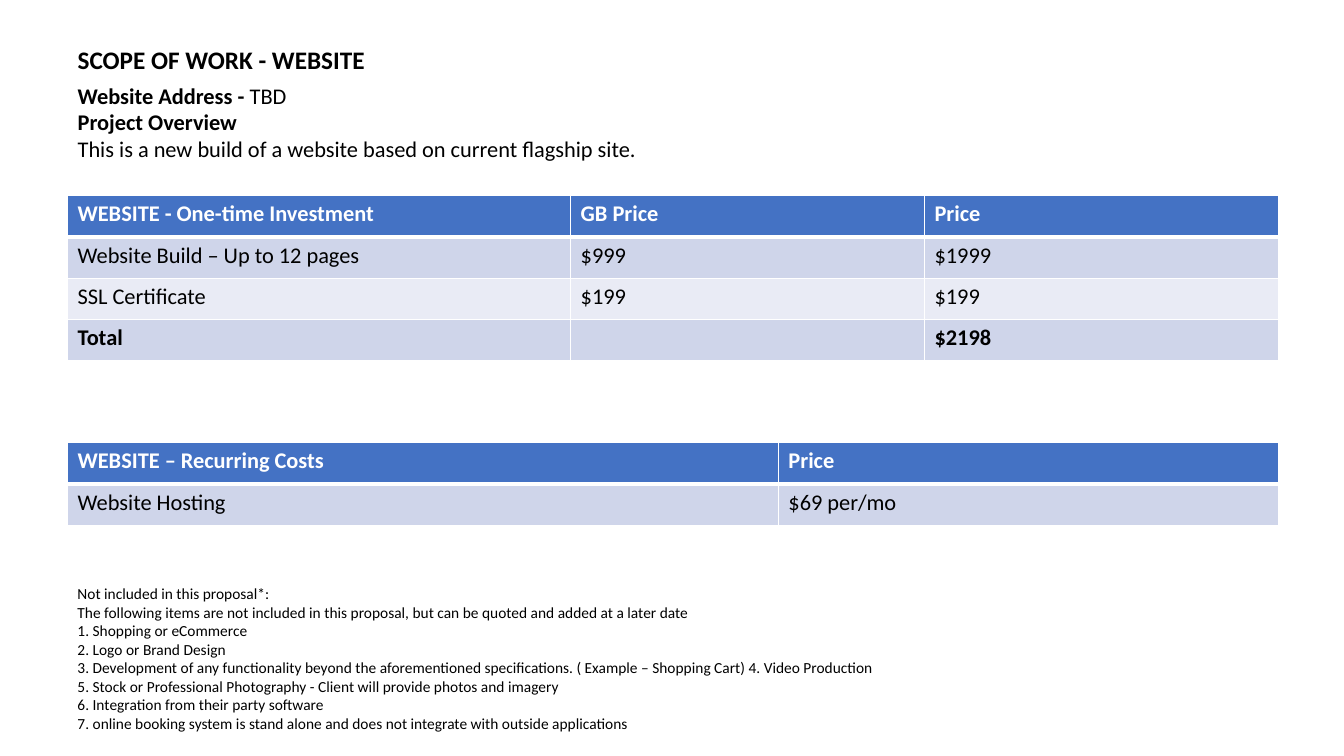
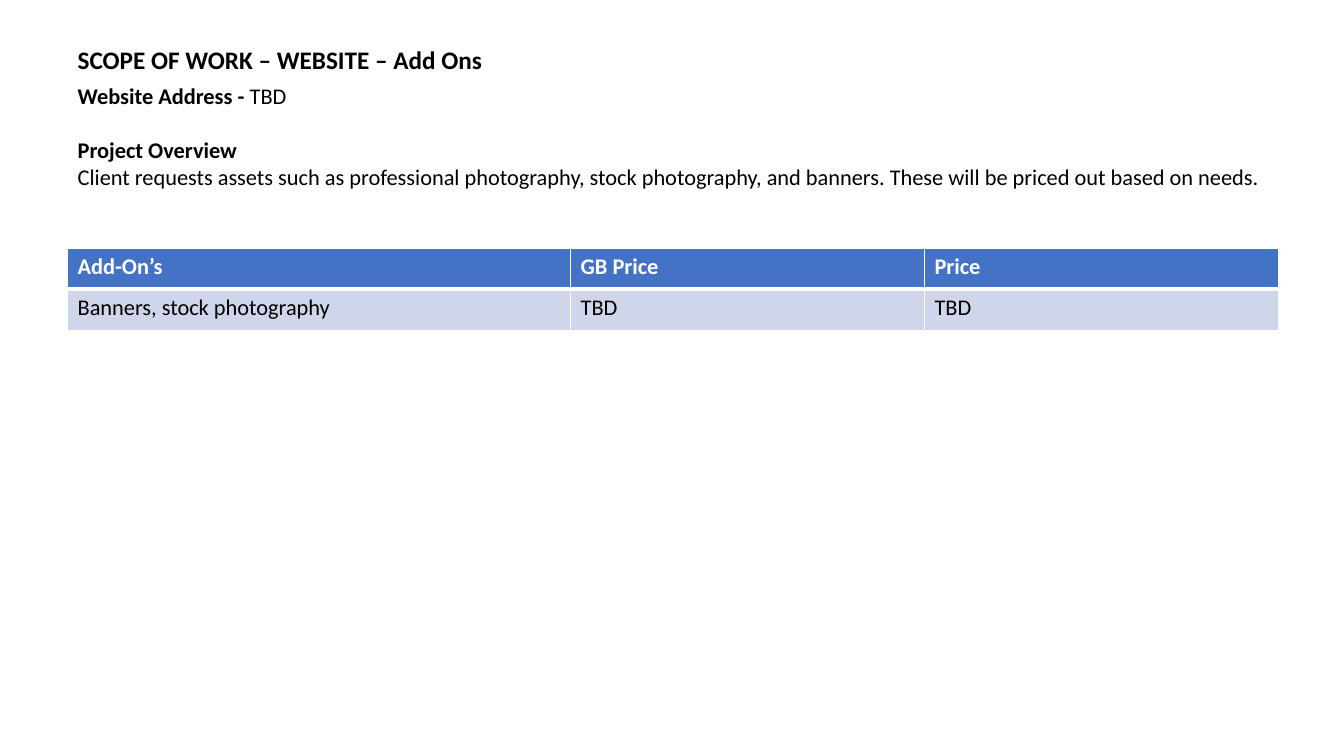
from dataclasses import dataclass
from lxml.etree import SubElement
from pptx import Presentation
from pptx.dml.color import RGBColor
from pptx.enum.text import MSO_ANCHOR, MSO_AUTO_SIZE, PP_ALIGN
from pptx.oxml.ns import qn
from pptx.util import Inches, Pt


@dataclass(frozen=True)
class Theme:
    font: str = "Calibri"
    text: RGBColor = RGBColor.from_string("000000")
    white: RGBColor = RGBColor.from_string("FFFFFF")
    header: RGBColor = RGBColor.from_string("4472C4")
    bands: tuple = (RGBColor.from_string("CFD5EA"), RGBColor.from_string("E9EBF5"))
    title_size: Pt = Pt(18)
    body_size: Pt = Pt(16)
    small_size: Pt = Pt(11)
    rule: Pt = Pt(1)
    header_rule: Pt = Pt(3)


theme = Theme()
left = Inches(0.67)
content_width = Inches(12.1)
row_height = Inches(0.41)
price_columns = (4.99, 3.51, 3.51)


def style(paragraph, size, bold=False, color=theme.text):
    paragraph.alignment = PP_ALIGN.LEFT
    paragraph.space_before = Pt(0)
    font = paragraph.font
    font.name = theme.font
    font.size = size
    font.bold = bold
    font.color.rgb = color


def add_price_table(slide, top, column_widths, rows):
    table = slide.shapes.add_table(
        len(rows), len(column_widths), left, Inches(top),
        Inches(sum(column_widths)), row_height * len(rows),
    ).table
    for column, width in zip(table.columns, column_widths):
        column.width = Inches(width)
    for row_index, values in enumerate(rows):
        table.rows[row_index].height = row_height
        is_header = row_index == 0
        edges = {
            "a:lnL": theme.rule,
            "a:lnR": theme.rule,
            "a:lnT": theme.header_rule if row_index == 1 else theme.rule,
            "a:lnB": theme.header_rule if is_header else theme.rule,
        }
        for column_index, value in enumerate(values):
            cell = table.cell(row_index, column_index)
            properties = cell._tc.get_or_add_tcPr()
            for edge, width in edges.items():
                line = SubElement(properties, qn(edge), w=str(width))
                fill = SubElement(line, qn("a:solidFill"))
                SubElement(fill, qn("a:srgbClr"), val=str(theme.white))
            cell.fill.solid()
            cell.fill.fore_color.rgb = theme.header if is_header else theme.bands[(row_index - 1) % 2]
            cell.text = value
            style(
                cell.text_frame.paragraphs[0], theme.body_size,
                bold=is_header or values[0] == "Total",
                color=theme.white if is_header else theme.text,
            )


scopes = [
    {
        "title": "SCOPE OF WORK - WEBSITE",
        "overview": "This is a new build of a website based on current flagship site.",
        "overview_gap": Pt(0),
        "overview_height": 1.18,
        "tables": [
            (1.94, price_columns, [
                ("WEBSITE - One-time Investment", "GB Price", "Price"),
                ("Website Build – Up to 12 pages", "$999", "$1999"),
                ("SSL Certificate", "$199", "$199"),
                ("Total", "", "$2198"),
            ]),
            (4.39, (7.05, 4.96), [
                ("WEBSITE – Recurring Costs", "Price"),
                ("Website Hosting", "$69 per/mo"),
            ]),
        ],
        "exclusions": [
            "Not included in this proposal*:",
            "The following items are not included in this proposal, but can be quoted and added at a later date",
            "1. Shopping or eCommerce",
            "2. Logo or Brand Design",
            "3. Development of any functionality beyond the aforementioned specifications. "
            "( Example – Shopping Cart) 4. Video Production",
            "5. Stock or Professional Photography - Client will provide photos and imagery",
            "6. Integration from their party software",
            "7. online booking system is stand alone and does not integrate with outside applications",
        ],
    },
    {
        "title": "SCOPE OF WORK – WEBSITE – Add Ons",
        "overview": "Client requests assets such as professional photography, stock photography, and banners. "
                    "These will be priced out based on needs.",
        "overview_gap": Pt(19.5),
        "overview_height": 1.45,
        "tables": [
            (2.46, price_columns, [
                ("Add-On’s", "GB Price", "Price"),
                ("Banners, stock photography", "TBD", "TBD"),
            ]),
        ],
        "exclusions": [],
    },
]

presentation = Presentation()
presentation.slide_width = Inches(13.33)
presentation.slide_height = Inches(7.5)

for scope in scopes:
    slide = presentation.slides.add_slide(presentation.slide_layouts[1])
    heading = slide.shapes.title
    overview = slide.placeholders[1]
    for placeholder, top, height in ((heading, 0.39, 0.4), (overview, 0.76, scope["overview_height"])):
        placeholder.left, placeholder.top = left, Inches(top)
        placeholder.width, placeholder.height = content_width, Inches(height)
        placeholder.text_frame.auto_size = MSO_AUTO_SIZE.NONE
        placeholder.text_frame.vertical_anchor = MSO_ANCHOR.TOP

    heading.text_frame.text = scope["title"]
    style(heading.text_frame.paragraphs[0], theme.title_size, bold=True)

    overview.text_frame.text = "\n".join(("Website Address - ", "Project Overview", scope["overview"]))
    address, overview_label, description = overview.text_frame.paragraphs
    for paragraph, bold in ((address, True), (overview_label, True), (description, False)):
        properties = paragraph._p.get_or_add_pPr()
        properties.set("marL", "0")
        properties.set("indent", "0")
        SubElement(properties, qn("a:buNone"))
        style(paragraph, theme.body_size, bold)
    overview_label.space_before = scope["overview_gap"]
    address.runs[0].font.bold = True
    address_value = address.add_run()
    address_value.text = "TBD"
    address_value.font.bold = False

    for top, column_widths, rows in scope["tables"]:
        add_price_table(slide, top, column_widths, rows)

    if scope["exclusions"]:
        exclusions = slide.shapes.add_textbox(left, Inches(5.75), Inches(8.5), Inches(1.65)).text_frame
        exclusions.word_wrap = True
        exclusions.text = "\n".join(scope["exclusions"])
        for paragraph in exclusions.paragraphs:
            style(paragraph, theme.small_size)

presentation.save("out.pptx")
